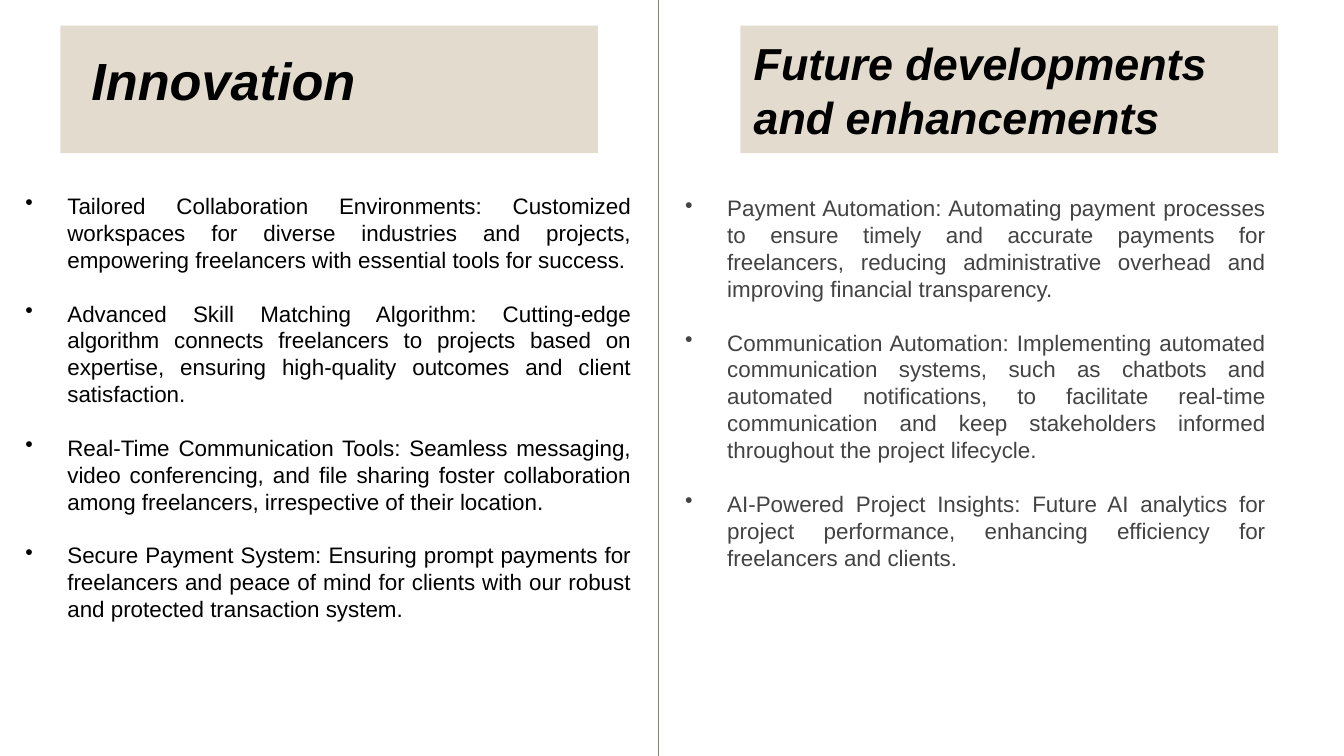
from lxml import etree
from pptx import Presentation, util as u
from pptx.dml.color import RGBColor
from pptx.enum import shapes, text
from pptx.oxml.ns import qn

WIDTH, HEIGHT = 720, 405
BANNER_TOP, BANNER_W, BANNER_H = 13.7, 288, 68.4
BODY_TOP = 99.4
INDENT = 22.5

INNOVATIONS = [
    "Tailored Collaboration Environments: Customized workspaces for diverse industries and "
    "projects, empowering freelancers with essential tools for success.",
    "Advanced Skill Matching Algorithm: Cutting-edge algorithm connects freelancers to projects "
    "based on expertise, ensuring high-quality outcomes and client satisfaction.",
    "Real-Time Communication Tools: Seamless messaging, video conferencing, and file sharing "
    "foster collaboration among freelancers, irrespective of their location.",
    "Secure Payment System: Ensuring prompt payments for freelancers and peace of mind for "
    "clients with our robust and protected transaction system.",
]
ENHANCEMENTS = [
    "Payment Automation: Automating payment processes to ensure timely and accurate payments for "
    "freelancers, reducing administrative overhead and improving financial transparency.",
    "Communication Automation: Implementing automated communication systems, such as chatbots and "
    "automated notifications, to facilitate real-time communication and keep stakeholders "
    "informed throughout the project lifecycle.",
    "AI-Powered Project Insights: Future AI analytics for project performance, enhancing "
    "efficiency for freelancers and clients.",
]


def color(value):
    return RGBColor.from_string(value)


def apply(target, values):
    for name, value in values.items():
        setattr(target, name, value)


class TwoColumnSlide:
    font = "Arial"
    black, gray = "000000", "434343"
    sand, brown = "CFC3AC", "8E7F66"

    def __init__(self, slide):
        self.slide = slide

    def box(self, *lengths):
        return [u.Pt(length) for length in lengths]

    def add_words(self, paragraph, words, size, ink, **extra):
        run = paragraph.add_run()
        run.text = words
        apply(run.font, {"name": self.font, "size": u.Pt(size), **extra})
        run.font.color.rgb = color(ink)

    def heading(self, frame, words, size, anchor):
        apply(frame, {"word_wrap": True, "vertical_anchor": anchor,
                      "auto_size": text.MSO_AUTO_SIZE.NONE})
        line = frame.paragraphs[0]
        apply(line, {"alignment": text.PP_ALIGN.LEFT, "line_spacing": 1.0,
                     "space_before": u.Pt(0)})
        self.add_words(line, words, size, self.black, bold=True, italic=True)

    def title(self, words, left, top, width, height):
        title = self.slide.shapes.title
        apply(title, dict(zip(("left", "top", "width", "height"),
                              self.box(left, top, width, height))))
        self.heading(title.text_frame, words, 28, text.MSO_ANCHOR.TOP)
        # Bring the title in front of its banner
        self.slide.shapes._spTree.append(title._element)

    def banner(self, left):
        banner = self.slide.shapes.add_shape(
            shapes.MSO_SHAPE.RECTANGLE, *self.box(left, BANNER_TOP, BANNER_W, BANNER_H))
        banner.shadow.inherit = False
        banner.fill.solid()
        banner.fill.fore_color.rgb = color(self.sand)
        fill = banner._element.spPr.find(qn("a:solidFill"))
        etree.SubElement(fill[0], qn("a:alpha"), val="58000")
        banner.line.fill.background()
        return banner

    def divider(self, x):
        divider = self.slide.shapes.add_connector(
            shapes.MSO_CONNECTOR.STRAIGHT, *self.box(x, 0, x, HEIGHT))
        divider.line.color.rgb = color(self.brown)
        divider.line.width = u.Pt(0.75)
        etree.SubElement(divider._element.spPr, qn("a:effectLst"))

    def bullets(self, points, left, width, height, ink, anchor):
        frame = self.slide.shapes.add_textbox(
            *self.box(left, BODY_TOP, width, height)).text_frame
        apply(frame, {"word_wrap": True, "vertical_anchor": anchor})
        for i, point in enumerate(points):
            item = frame.add_paragraph() if i else frame.paragraphs[0]
            item.alignment = text.PP_ALIGN.JUSTIFY
            item.space_before = u.Pt(14.4 if i else 0)
            props = item._p.get_or_add_pPr()
            props.set("marL", str(u.Pt(INDENT)))
            props.set("indent", str(-u.Pt(INDENT)))
            etree.SubElement(props, qn("a:buChar"), char="•")
            self.add_words(item, point, 12, ink)


def main():
    deck = Presentation()
    deck.slide_width, deck.slide_height = u.Pt(WIDTH), u.Pt(HEIGHT)
    page = TwoColumnSlide(deck.slides.add_slide(deck.slide_layouts[5]))

    # Left column: innovation
    page.banner(32.4)
    page.title("Innovation", 41.8, 22.3, 303, 41)
    page.bullets(INNOVATIONS, 6.5, 339, 240, page.black, text.MSO_ANCHOR.TOP)

    # Divider between the columns
    page.divider(352.8)

    # Right column: future developments
    page.bullets(ENHANCEMENTS, 360, 325.4, 211, page.gray, text.MSO_ANCHOR.MIDDLE)
    future = page.banner(396.7)
    page.heading(future.text_frame, "Future developments and enhancements", 24,
                 text.MSO_ANCHOR.MIDDLE)

    deck.save("out.pptx")


if __name__ == "__main__":
    main()
